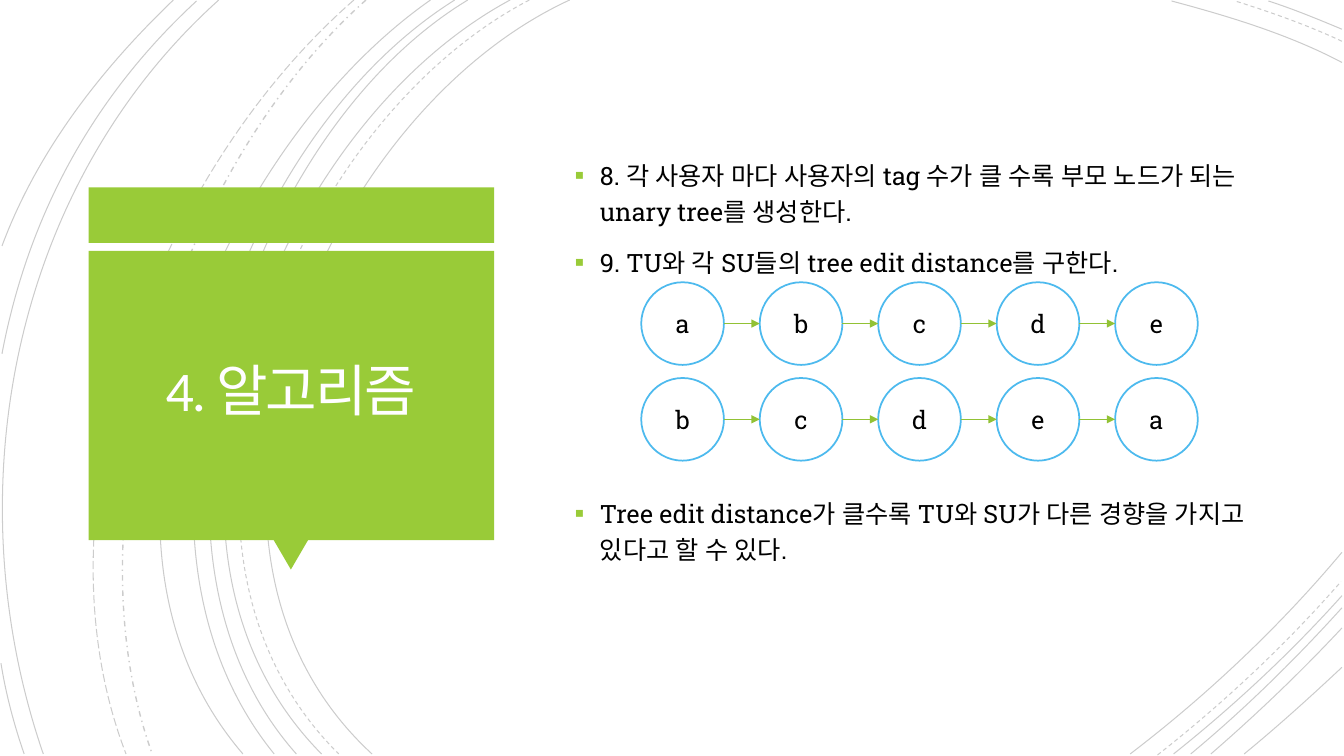
import pptx
import pptx.util
import pptx.dml.color
import pptx.oxml
import pptx.oxml.ns
from pptx.enum.dml import MSO_LINE
from pptx.enum.shapes import MSO_CONNECTOR, MSO_SHAPE
from pptx.enum.text import MSO_ANCHOR, MSO_AUTO_SIZE, PP_ALIGN

# Content
TITLE = "4. 알고리즘"
# Each bullet: text, space before in points (the last leaves room for the diagram)
BULLETS = [
    ("8. 각 사용자 마다 사용자의 tag 수가 클 수록 부모 노드가 되는 unary tree를 생성한다.", 10),
    ("9. TU와 각 SU들의 tree edit distance를 구한다.", 10),
    ("Tree edit distance가 클수록 TU와 SU가 다른 경향을 가지고 있다고 할 수 있다.", 153.5),
]
CHAINS = ["abcde", "bcdea"]

# Background arcs by line style: start, two control points, end (inches)
SOLID_ARCS = [
    (5.65, 0, 3.15, 1.15, 1.43, 5.4, 3.69, 7.48),
    (13.31, 0.62, 12.78, 0.34, 12.18, 0.16, 11.62, 0.01),
    (11.21, 7.48, 11.97, 6.9, 12.69, 6.22, 13.31, 5.48),
    (5.06, 0, 2.7, 1.27, 1.1, 5.37, 3.19, 7.48),
    (13.31, 0.29, 13.07, 0.19, 12.83, 0.09, 12.58, 0.01),
    (11.64, 7.48, 12.23, 7.01, 12.8, 6.48, 13.31, 5.91),
    (4.64, 0, 2.44, 1.33, 1.1, 5.41, 2.94, 7.48),
    (11.81, 7.48, 12.34, 7.04, 12.84, 6.55, 13.31, 6.03),
    (4.51, 0, 2.31, 1.38, 0.97, 5.33, 2.72, 7.48),
    (12.01, 7.48, 12.46, 7.09, 12.9, 6.67, 13.31, 6.23),
    (4.27, 0, 2.17, 1.47, 0.53, 5.29, 2.41, 7.48),
    (12.34, 7.48, 12.67, 7.21, 12.99, 6.92, 13.31, 6.62),
    (2.17, 0, 0.11, 1.85, -0.46, 4.9, 0.43, 7.48),
    (1.95, 0.01, 0.92, 0.96, 0.28, 2.14, 0.02, 3.51),
    (0.01, 6.58, 0.06, 6.89, 0.14, 7.19, 0.24, 7.48),
    (1.72, 0, 1, 0.69, 0.37, 1.5, 0.02, 2.44),
]
DASHED_ARCS = [
    (5.25, 0, 2.85, 1.25, 1.23, 5.37, 3.36, 7.48),
    (13.31, 0.41, 12.97, 0.25, 12.6, 0.12, 12.25, 0.01),
    (11.48, 7.49, 12.13, 6.98, 12.75, 6.4, 13.3, 5.77),
]
DASH_DOT_ARCS = [(3.63, 0, 1.76, 1.66, 0.65, 5.09, 1.51, 7.48)]
LONG_DASH_ARCS = [(3.51, 0, 1.57, 1.69, 0.29, 4.99, 1.25, 7.48)]
ARC_STYLES = [
    (SOLID_ARCS, MSO_LINE.SOLID, 0.75),
    (DASHED_ARCS, MSO_LINE.DASH, 0.75),
    (DASH_DOT_ARCS, MSO_LINE.DASH_DOT, 1),
    (LONG_DASH_ARCS, MSO_LINE.LONG_DASH, 0.75),
]

# Layout and style
WIDTH, HEIGHT = 13.33, 7.5
PANEL_LEFT, PANEL_WIDTH = 0.88, 4.02
NODE_LEFT, NODE_TOP, NODE_SIZE = 6.36, 2.8, 0.82
COLUMN_STEP, ROW_STEP = 1.175, 0.95
GREEN, ARROW_GREEN, BLUE = "99CB38", "92C235", "4DBAEE"
WHITE, TITLE_WHITE, BLACK = "FFFFFF", "FFFEFF", "000000"
BODY_FONT, TITLE_FONT = "Roboto Slab", "Calibri"

inches, points = pptx.util.Inches, pptx.util.Pt


def color(value):
    return pptx.dml.color.RGBColor.from_string(value)


def add_xml(parent, tag, **attributes):
    child = pptx.oxml.parse_xml(f"<a:{tag} {pptx.oxml.ns.nsdecls('a')}/>")
    for name, value in attributes.items():
        child.set(name, value)
    parent.append(child)
    return child


def style_text(para, font, size, text_color):
    for span in para.runs:
        span.font.name = font
        span.font.size = points(size)
        span.font.color.rgb = color(text_color)
        add_xml(span.font._element, "ea", typeface=font)


def place(box, left, top, width, height):
    box.left, box.top = inches(left), inches(top)
    box.width, box.height = inches(width), inches(height)


def add_filled(page, kind, left, top, width, height, fill):
    shape = page.shapes.add_shape(kind, *map(inches, (left, top, width, height)))
    shape.shadow.inherit = False
    shape.fill.solid()
    shape.fill.fore_color.rgb = color(fill)
    shape.line.fill.background()
    return shape


def add_arc(page, arc, dash, weight):
    corners = [(inches(x), inches(y)) for x, y in zip(arc[::2], arc[1::2])]
    builder = page.shapes.build_freeform(*corners[0])
    builder.add_line_segments(corners[1:], close=False)
    shape = builder.convert_to_shape()
    shape.shadow.inherit = False
    shape.fill.background()
    shape.line.color.rgb = color(BLACK)
    shape.line.width = points(weight)
    shape.line.dash_style = dash
    ink = next(shape.line._get_or_add_ln().iter(pptx.oxml.ns.qn("a:srgbClr")))
    add_xml(ink, "alpha", val="20000")
    # Turn the three segments into one cubic curve
    segments = list(shape.element.iter(pptx.oxml.ns.qn("a:lnTo")))
    curve = add_xml(segments[0].getparent(), "cubicBezTo")
    for segment in segments:
        curve.append(segment[0])
        segment.getparent().remove(segment)


def add_node(page, label, left, top):
    node = add_filled(page, MSO_SHAPE.OVAL, left, top, NODE_SIZE, NODE_SIZE, WHITE)
    node.line.color.rgb = color(BLUE)
    node.line.width = points(1.25)
    node.text_frame.text = label
    node.text_frame.vertical_anchor = MSO_ANCHOR.MIDDLE
    para = node.text_frame.paragraphs[0]
    para.alignment = PP_ALIGN.CENTER
    style_text(para, BODY_FONT, 18, BLACK)


def add_arrow(page, start, end, middle):
    arrow = page.shapes.add_connector(
        MSO_CONNECTOR.STRAIGHT, *map(inches, (start, middle, end, middle)))
    arrow.line.color.rgb = color(ARROW_GREEN)
    arrow.line.width = points(0.75)
    add_xml(arrow.line._get_or_add_ln(), "tailEnd", type="triangle")
    add_xml(arrow.element.spPr, "effectLst")


def fill_title(title):
    place(title, 0.97, 2.57, 3.83, 2.69)
    frame = title.text_frame
    frame.text = TITLE
    frame.word_wrap = True
    frame.auto_size = MSO_AUTO_SIZE.NONE
    frame.vertical_anchor = MSO_ANCHOR.MIDDLE
    frame.margin_left = frame.margin_right = inches(0.25)
    frame.margin_top = frame.margin_bottom = inches(0.25)
    para = frame.paragraphs[0]
    para.alignment = PP_ALIGN.CENTER
    para.line_spacing = 0.85
    style_text(para, TITLE_FONT, 40, TITLE_WHITE)
    para.runs[0].font._element.set("spc", "-150")


def fill_body(body):
    place(body, 5.6, 0.88, 6.87, 5.74)
    frame = body.text_frame
    frame.text = "\n".join(text for text, gap in BULLETS)
    frame.word_wrap = True
    frame.auto_size = MSO_AUTO_SIZE.NONE
    frame.vertical_anchor = MSO_ANCHOR.TOP
    frame.margin_top = inches(0.65)
    for para, (text, gap) in zip(frame.paragraphs, BULLETS):
        para.line_spacing = 1.2
        para.space_before = points(gap)
        style_text(para, BODY_FONT, 18, BLACK)
        settings = para._p.get_or_add_pPr()
        settings.set("marL", str(inches(0.25)))
        settings.set("indent", str(-inches(0.25)))
        add_xml(add_xml(settings, "buClr"), "srgbClr", val=GREEN)
        add_xml(settings, "buSzPct", val="110000")
        add_xml(settings, "buFont", typeface="Arial")
        add_xml(settings, "buChar", char="▪")


def main():
    deck = pptx.Presentation()
    deck.slide_width, deck.slide_height = inches(WIDTH), inches(HEIGHT)
    page = deck.slides.add_slide(deck.slide_layouts[1])

    # Background arcs
    for arcs, dash, weight in ARC_STYLES:
        for arc in arcs:
            add_arc(page, arc, dash, weight)

    # Green title panel with its pointer
    add_filled(page, MSO_SHAPE.RECTANGLE, PANEL_LEFT, 1.86, PANEL_WIDTH, 0.55, GREEN)
    pointer = add_filled(page, MSO_SHAPE.ISOSCELES_TRIANGLE, 2.71, 5.35, 0.35, 0.3, GREEN)
    pointer.rotation = 180
    add_filled(page, MSO_SHAPE.RECTANGLE, PANEL_LEFT, 2.49, PANEL_WIDTH, 2.87, GREEN)

    # Title and list, brought in front of the panel
    title, body = page.shapes.title, page.placeholders[1]
    fill_title(title)
    fill_body(body)
    for holder in (title, body):
        holder.element.getparent().append(holder.element)

    # Two chains of nodes
    for row, chain in enumerate(CHAINS):
        top = NODE_TOP + row * ROW_STEP
        for column, label in enumerate(chain):
            left = NODE_LEFT + column * COLUMN_STEP
            add_node(page, label, left, top)
            if column:
                add_arrow(page, left - COLUMN_STEP + NODE_SIZE, left, top + NODE_SIZE / 2)

    deck.save("out.pptx")


if __name__ == "__main__":
    main()
